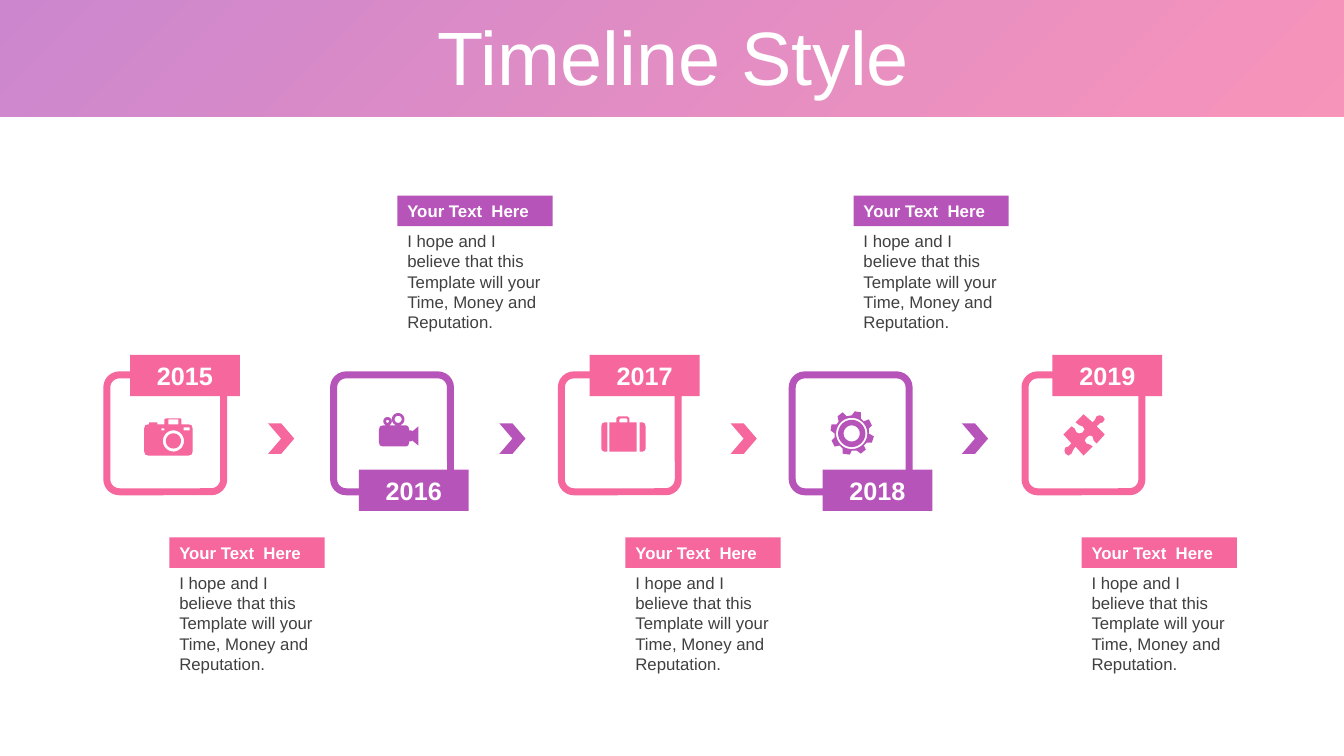
import math
from dataclasses import dataclass

import lxml.etree
import pptx
import pptx.dml.color
import pptx.enum.shapes
import pptx.enum.text
import pptx.oxml.ns
import pptx.util

Pt = pptx.util.Pt
SHAPE = pptx.enum.shapes.MSO_SHAPE
ALIGN = pptx.enum.text.PP_ALIGN
ANCHOR = pptx.enum.text.MSO_ANCHOR


@dataclass(frozen=True)
class Theme:
    """Colours, font and type sizes of the slide."""
    pink: str = "F5679D"
    purple: str = "B754BA"
    white: str = "FFFFFF"
    body: str = "404040"
    font: str = "Arial"
    title_size: int = 54
    year_size: int = 18
    caption_size: int = 12


THEME = Theme()
ICON_UNIT = 0.72
HEADING = "Your Text  Here"
MESSAGE = "I hope and I believe that this Template will your Time, Money and Reputation."


def circle(x, y, radius):
    """Return the points of a circle on the icon grid."""
    turns = [math.tau * step / 48 for step in range(48)]
    return [(x + radius * math.cos(t), y + radius * math.sin(t)) for t in turns]


def box(left, top, right, bottom):
    """Return the corners of a rectangle on the icon grid."""
    return [(left, top), (right, top), (right, bottom), (left, bottom)]


CAMERA = [
    [(22, 0), (36, 0), (37, 1), (37, 6), (44, 6), (47, 7), (48, 10), (48, 33),
     (47, 36), (44, 37), (4, 37), (1, 36), (0, 33), (0, 10), (1, 7), (4, 6),
     (5, 6), (5, 4), (13, 4), (13, 6), (20, 6), (20, 1)],
    box(17, 10, 20, 12), box(39, 9, 45, 12), box(24, 1, 34, 6),
    circle(29, 22.5, 10.5), circle(29, 22.5, 7.5),
]
MOVIE_CAMERA = [
    [(4, 12), (27, 12), (29, 13), (30, 16), (30, 17), (32, 17), (33, 18),
     (39, 13), (39, 32), (33, 27), (32, 28), (30, 28), (30, 29), (29, 32),
     (27, 33), (4, 33), (1, 32), (0, 29), (0, 16), (1, 13)],
    circle(8.5, 8, 4.2), circle(8.5, 8, 1.5),
    circle(19, 6, 6.2), circle(19, 6, 3.5),
]
SUITCASE = [
    [(38, 6), (41, 6), (43, 7), (44, 10), (44, 32), (43, 34), (41, 35), (38, 35)],
    [(6, 6), (3, 6), (1, 7), (0, 10), (0, 32), (1, 34), (3, 35), (6, 35)],
    [(17, 0), (26, 0), (28, 2), (28, 6), (35, 6), (35, 35), (8, 35), (8, 6),
     (15, 6), (15, 2)],
    [(19, 2), (25, 2), (26, 3), (26, 6), (18, 6), (18, 3)],
]
GEAR = [
    [(30, 1), (30, 7), (33, 10), (38, 8), (41, 14), (38, 17), (38, 22), (43, 25),
     (41, 31), (36, 31), (33, 34), (35, 38), (30, 42), (26, 39), (21, 39),
     (19, 43), (12, 42), (12, 37), (9, 34), (4, 35), (1, 29), (4, 26), (4, 22),
     (0, 19), (1, 13), (6, 13), (8, 10), (7, 5), (12, 1), (16, 5), (21, 4),
     (24, 0)],
    circle(21, 22, 15.5), circle(21, 22, 13.5), circle(21, 22, 8),
]
PUZZLE_PIECE = [
    [(39, 2), (41, 5), (39, 8), (36, 9), (33, 12), (41, 20), (33, 29), (30, 26),
     (29, 22), (26, 21), (23, 23), (21, 26), (23, 29), (26, 30), (29, 32),
     (20, 41), (12, 32), (10, 35), (8, 39), (5, 41), (2, 39), (1, 36), (2, 33),
     (5, 32), (8, 29), (0, 20), (8, 12), (11, 14), (13, 18), (16, 19), (19, 18),
     (21, 15), (19, 12), (16, 11), (12, 8), (20, 0), (29, 8), (31, 6), (33, 2),
     (36, 1)],
]

STEPS = [
    ("2015", 76.3, 92.9, CAMERA, 103, 298.8),
    ("2016", 238.3, 256.3, MOVIE_CAMERA, 270.7, 295.2),
    ("2017", 401, 421.2, SUITCASE, 429.5, 297.4),
    ("2018", 565.9, 587.5, GEAR, 593.3, 293.8),
    ("2019", 732.2, 751.7, PUZZLE_PIECE, 759.6, 295.9),
]


def rgb(code):
    """Return the colour object of a hex code."""
    return pptx.dml.color.RGBColor.from_string(code)


def paint(part, color):
    """Give a shape a flat fill with no line or shadow."""
    part.shadow.inherit = False
    part.fill.solid()
    part.fill.fore_color.rgb = rgb(color)
    part.line.fill.background()


def add_block(slide, kind, left, top, width, height, color):
    """Add a flat preset shape."""
    block = slide.shapes.add_shape(kind, Pt(left), Pt(top), Pt(width), Pt(height))
    paint(block, color)
    return block


def write(part, text, size, color, bold=False, align=ALIGN.LEFT, anchor=ANCHOR.TOP):
    """Set and format the single paragraph of a shape."""
    frame = part.text_frame
    frame.text = text
    frame.word_wrap = True
    frame.vertical_anchor = anchor
    paragraph = frame.paragraphs[0]
    paragraph.alignment = align
    font = paragraph.runs[0].font
    font.name, font.size, font.bold = THEME.font, Pt(size), bold
    font.color.rgb = rgb(color)


def add_header(slide, text):
    """Add the gradient band with the title on it."""
    band = add_block(slide, SHAPE.RECTANGLE, 0, 0, 960, 83.5, THEME.pink)
    band.fill.gradient()
    band.fill.gradient_angle = 135
    for stop, color in zip(band.fill.gradient_stops, (THEME.pink, THEME.purple)):
        stop.color.rgb = rgb(color)
    qn = pptx.oxml.ns.qn
    for tint in band.element.spPr.iter(qn("a:srgbClr")):
        lxml.etree.SubElement(tint, qn("a:alpha"), val="70000")
    title = slide.shapes.title
    title.element.addprevious(band.element)
    title.left, title.top, title.width, title.height = Pt(25.2), Pt(15.1), Pt(911.5), Pt(56.9)
    write(title, text, THEME.title_size, THEME.white, align=ALIGN.CENTER, anchor=ANCHOR.MIDDLE)
    title.text_frame.auto_size = pptx.enum.text.MSO_AUTO_SIZE.NONE
    title.text_frame.paragraphs[0].line_spacing = 0.9


def add_year(slide, year, frame_left, tag_left, tag_top, color):
    """Add a rounded frame with its year tag."""
    frame = add_block(slide, SHAPE.ROUNDED_RECTANGLE, frame_left, 267.8, 83.5, 83.5, THEME.white)
    frame.adjustments[0] = 0.107
    frame.line.color.rgb = rgb(color)
    frame.line.width = Pt(5)
    tag = add_block(slide, SHAPE.RECTANGLE, tag_left, tag_top, 78.5, 29.5, color)
    write(tag, year, THEME.year_size, THEME.white, True, ALIGN.CENTER, ANCHOR.MIDDLE)


def add_icon(slide, outlines, left, top, color):
    """Add an icon made of closed outlines, inner ones being holes."""
    placed = [[(Pt(left + x * ICON_UNIT), Pt(top + y * ICON_UNIT)) for x, y in outline]
              for outline in outlines]
    builder = slide.shapes.build_freeform(*placed[0][0])
    builder.add_line_segments(placed[0][1:], close=True)
    for outline in placed[1:]:
        builder.move_to(*outline[0])
        builder.add_line_segments(outline[1:], close=True)
    paint(builder.convert_to_shape(), color)


def add_caption(slide, left, top, color):
    """Add a heading bar with its message below."""
    heading = add_block(slide, SHAPE.RECTANGLE, left, top, 110.9, 21.8, color)
    write(heading, HEADING, THEME.caption_size, THEME.white, True)
    message = slide.shapes.add_textbox(Pt(left), Pt(top + 21.8), Pt(110.9), Pt(79.9))
    write(message, MESSAGE, THEME.caption_size, THEME.body)


def main():
    """Build the timeline slide and save it."""
    deck = pptx.Presentation()
    deck.slide_width, deck.slide_height = Pt(960), Pt(540)
    slide = deck.slides.add_slide(deck.slide_layouts[5])
    add_header(slide, "Timeline Style")
    for index, (year, frame_left, tag_left, icon, icon_left, icon_top) in enumerate(STEPS):
        raised = index % 2
        color = THEME.purple if raised else THEME.pink
        add_year(slide, year, frame_left, tag_left, 335.5 if raised else 253.5, color)
        add_icon(slide, icon, icon_left, icon_top, color)
        add_caption(slide, 121 + 162.9 * index, 139.7 if raised else 383.8, color)
        if index < len(STEPS) - 1:
            add_block(slide, SHAPE.CHEVRON, 191.5 + 165.2 * index, 302.4, 18.7, 21.8, color)
    deck.save("out.pptx")


if __name__ == "__main__":
    main()
